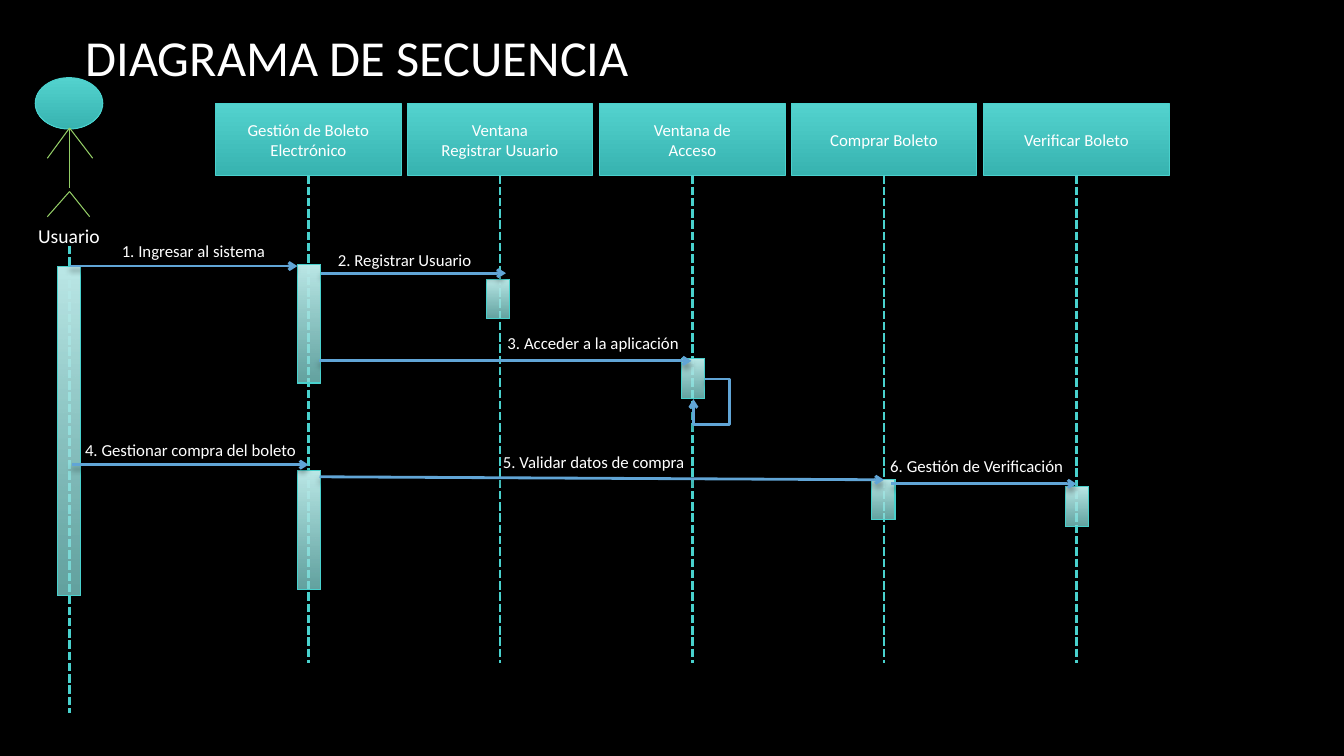
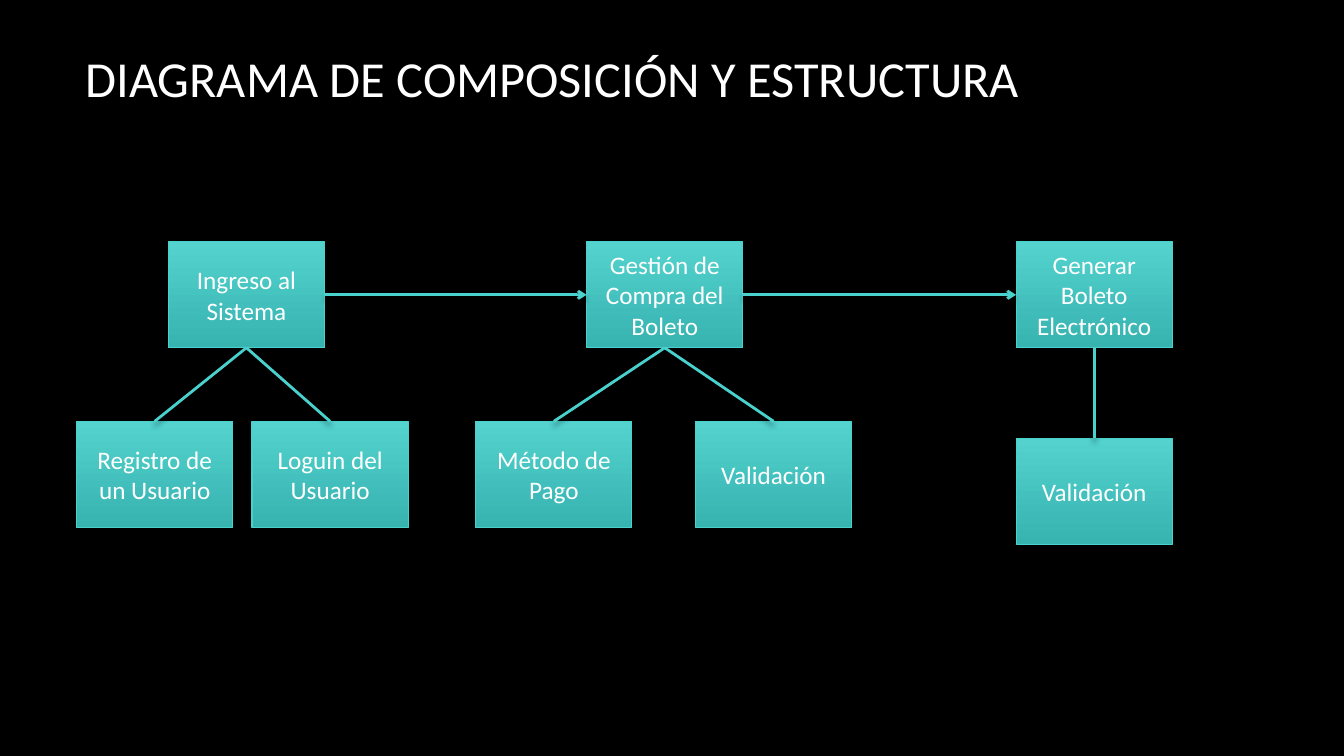
from dataclasses import dataclass
from typing import NamedTuple

from pptx import Presentation
from pptx.dml.color import RGBColor
from pptx.enum.dml import MSO_LINE
from pptx.enum.shapes import MSO_CONNECTOR as Link, MSO_SHAPE as Preset
from pptx.enum.text import MSO_ANCHOR as Anchor, PP_ALIGN as Align
from pptx.oxml import parse_xml
from pptx.oxml.ns import nsdecls, qn
from pptx.shapes.autoshape import Shape
from pptx.shapes.connector import Connector
from pptx.slide import Slide
from pptx.text.text import TextFrame
from pptx.util import Emu, Pt

SCALE = 9144  # EMU in one px, 100 px to the inch
TOP_SITE, LEFT_SITE, BOTTOM_SITE, RIGHT_SITE = range(4)


@dataclass(frozen=True)
class Theme:
    font: str = "Calibri"
    background: str = "000000"
    text: str = "FFFFFF"
    teal: str = "49D1CD"
    box_fill: tuple[str, str] = ("53D2CE", "37B3B0")
    activation_fill: tuple[str, str] = ("BCE9E8", "86DAD7")
    activation_alpha: int = 74
    message: str = "61A5D6"
    actor: str = "94CE67"
    title_size: int = 36
    box_size: int = 18
    actor_size: int = 14
    label_size: int = 12
    thin: float = 0.75
    thick: float = 2


THEME = Theme()


class Point(NamedTuple):
    x: int
    y: int


class Frame(NamedTuple):
    left: int
    top: int
    width: int
    height: int

    def emu(self) -> list[Emu]:
        return [px(length) for length in self]


class Message(NamedTuple):
    text: str
    label: Frame
    start: Point
    end: Point


class Branch(NamedTuple):
    text: str
    left: int
    child_top: int
    children: tuple[tuple[str, int], ...]


PARTICIPANTS = (
    "Gestión de Boleto Electrónico",
    "Ventana\nRegistrar Usuario",
    "Ventana de\nAcceso",
    "Comprar Boleto",
    "Verificar Boleto",
)
HEADER_SIZE = (184, 71)
HEADER_TOP, LIFELINE_END = 103, 658
ACTOR_X = 69
ACTOR_LIMBS = (
    (Point(ACTOR_X, 127), Point(ACTOR_X, 187)),
    (Point(ACTOR_X, 127), Point(47, 157)),
    (Point(ACTOR_X, 127), Point(92, 157)),
    (Point(ACTOR_X, 190), Point(47, 215)),
    (Point(ACTOR_X, 190), Point(89, 215)),
)
ACTIVATION_WIDTH = 23
SHORT, MEDIUM, LONG = 39, 118, 327
ACTIVATIONS = (  # left, top, height
    (57, 264, LONG),
    (295, 262, MEDIUM),
    (295, 467, MEDIUM),
    (483, 277, SHORT),
    (676, 356, SHORT),
    (865, 476, SHORT),
    (1057, 483, SHORT),
)
MESSAGES = (
    Message("1. Ingresar al sistema", Frame(103, 234, 178, 30), Point(69, 264), Point(295, 264)),
    Message("2. Registrar Usuario", Frame(321, 243, 161, 30), Point(318, 271), Point(502, 271)),
    Message("3. Acceder a la aplicación", Frame(479, 325, 219, 30), Point(316, 358), Point(686, 358)),
    Message("4. Gestionar compra del boleto", Frame(73, 431, 232, 30), Point(71, 461), Point(306, 461)),
    Message("5. Validar datos de compra", Frame(473, 443, 232, 30), Point(317, 473), Point(877, 476)),
    Message("6. Gestión de Verificación", Frame(853, 447, 232, 30), Point(884, 480), Point(1068, 480)),
)

BLOCK_SIZE = (155, 105)
BRANCH_TOP = 240
BRANCHES = (
    Branch("Ingreso al Sistema", 167, 418, (("Registro de un Usuario", 76), ("Loguin del Usuario", 250))),
    Branch("Gestión de Compra del Boleto", 582, 418, (("Método de Pago", 472), ("Validación", 690))),
    Branch("Generar Boleto Electrónico", 1008, 435, (("Validación", 1008),)),
)


def px(length: int) -> Emu:
    return Emu(length * SCALE)


def color(value: str) -> RGBColor:
    return RGBColor.from_string(value)


def set_shadow(item: Shape | Connector, visible: bool) -> None:
    """Give the item a soft shadow below it, or an empty effect list."""
    shadow = (
        '<a:outerShdw blurRad="50800" dist="38100" dir="5400000" rotWithShape="0">'
        '<a:srgbClr val="000000"><a:alpha val="35000"/></a:srgbClr></a:outerShdw>'
    )
    content = shadow if visible else ""
    item.element.spPr.append(parse_xml(f'<a:effectLst {nsdecls("a")}>{content}</a:effectLst>'))


def write(frame: TextFrame, text: str, size: int, align: Align, anchor: Anchor) -> None:
    frame.word_wrap = True
    frame.vertical_anchor = anchor
    for index, line in enumerate(text.split("\n")):
        para = frame.add_paragraph() if index else frame.paragraphs[0]
        para.text = line
        para.alignment = align
        para.font.name = THEME.font
        para.font.size = Pt(size)
        para.font.color.rgb = color(THEME.text)


def add_text(slide: Slide, frame: Frame, text: str, size: int,
             align: Align = Align.CENTER, anchor: Anchor = Anchor.TOP) -> None:
    write(slide.shapes.add_textbox(*frame.emu()).text_frame, text, size, align, anchor)


def add_titled_slide(deck: Presentation, title: str, frame: Frame) -> Slide:
    slide = deck.slides.add_slide(deck.slide_layouts[6])
    add_text(slide, frame, title, THEME.title_size, Align.LEFT, Anchor.MIDDLE)
    return slide


def add_gradient_shape(slide: Slide, preset: Preset, frame: Frame,
                       colors: tuple[str, str], shadow: bool) -> Shape:
    shape = slide.shapes.add_shape(preset, *frame.emu())
    shape.fill.gradient()
    shape.fill.gradient_angle = 270
    for stop, value in zip(shape.fill.gradient_stops, colors):
        stop.color.rgb = color(value)
    shape.line.color.rgb = color(THEME.teal)
    shape.line.width = Pt(THEME.thin)
    set_shadow(shape, shadow)
    return shape


def add_box(slide: Slide, frame: Frame, text: str, size: int) -> Shape:
    box = add_gradient_shape(slide, Preset.RECTANGLE, frame, THEME.box_fill, shadow=True)
    write(box.text_frame, text, size, Align.CENTER, Anchor.MIDDLE)
    return box


def add_activation(slide: Slide, frame: Frame) -> None:
    bar = add_gradient_shape(slide, Preset.RECTANGLE, frame, THEME.activation_fill, shadow=False)
    last_color = bar.element.spPr.findall(".//" + qn("a:srgbClr"))[1]
    alpha = THEME.activation_alpha * 1000
    last_color.append(parse_xml(f'<a:alpha {nsdecls("a")} val="{alpha}"/>'))


def add_line(slide: Slide, start: Point, end: Point, line_color: str, width: float = THEME.thick,
             arrow: bool = False, dashed: bool = False, shadow: bool = True,
             kind: Link = Link.STRAIGHT) -> Connector:
    ends = [px(length) for length in (*start, *end)]
    connector = slide.shapes.add_connector(kind, *ends)
    connector.line.color.rgb = color(line_color)
    connector.line.width = Pt(width)
    if dashed:
        connector.line.dash_style = MSO_LINE.SQUARE_DOT
    if arrow:
        outline = connector.line._get_or_add_ln()
        outline.append(parse_xml(f'<a:tailEnd {nsdecls("a")} type="arrow"/>'))
    set_shadow(connector, shadow)
    return connector


def add_lifeline(slide: Slide, x: int, top: int, bottom: int) -> None:
    add_line(slide, Point(x, top), Point(x, bottom), THEME.teal, dashed=True)


def add_self_message(slide: Slide, start: Point, corner: Point, end: Point) -> None:
    """Loop right to the corner's x, down to its y, then back up to the end."""
    loop = add_line(slide, start, end, THEME.message, arrow=True, kind=Link.ELBOW)
    geometry = loop.element.spPr.find(qn("a:prstGeom"))
    geometry.set("prst", "bentConnector4")
    for guide in list(geometry):
        geometry.remove(guide)
    across = round(100000 * (corner.x - start.x) / (end.x - start.x))
    down = round(100000 * (corner.y - start.y) / (end.y - start.y))
    geometry.append(parse_xml(
        f'<a:avLst {nsdecls("a")}><a:gd name="adj1" fmla="val {across}"/>'
        f'<a:gd name="adj2" fmla="val {down}"/></a:avLst>'))


def join(slide: Slide, source: Shape, source_site: int, target: Shape, target_site: int,
         arrow: bool = False) -> None:
    connector = add_line(slide, Point(0, 0), Point(0, 0), THEME.teal, arrow=arrow)
    connector.begin_connect(source, source_site)
    connector.end_connect(target, target_site)


def add_actor(slide: Slide) -> None:
    add_gradient_shape(slide, Preset.OVAL, Frame(35, 77, 67, 51), THEME.box_fill, shadow=True)
    for start, end in ACTOR_LIMBS:
        add_line(slide, start, end, THEME.actor, THEME.thin, shadow=False)
    add_text(slide, Frame(27, 217, 83, 34), "Usuario", THEME.actor_size)
    add_lifeline(slide, ACTOR_X, 244, 707)


def build_sequence_slide(deck: Presentation) -> None:
    slide = add_titled_slide(deck, "DIAGRAMA DE SECUENCIA", Frame(75, 11, 1108, 89))
    width, height = HEADER_SIZE
    for index, name in enumerate(PARTICIPANTS):
        left = 214 + index * 381 // 2
        add_box(slide, Frame(left, HEADER_TOP, width, height), name, THEME.label_size)
        add_lifeline(slide, left + width // 2, HEADER_TOP + height, LIFELINE_END)
    add_actor(slide)
    for left, top, length in ACTIVATIONS:
        add_activation(slide, Frame(left, top, ACTIVATION_WIDTH, length))
    for message in MESSAGES:
        add_line(slide, message.start, message.end, THEME.message, arrow=True)
        add_text(slide, message.label, message.text, THEME.label_size)
    add_self_message(slide, Point(699, 376), Point(724, 421), Point(688, 396))


def build_structure_slide(deck: Presentation) -> None:
    slide = add_titled_slide(deck, "DIAGRAMA DE COMPOSICIÓN Y ESTRUCTURA", Frame(75, -3, 1150, 159))
    previous = None
    for branch in BRANCHES:
        parent = add_box(slide, Frame(branch.left, BRANCH_TOP, *BLOCK_SIZE), branch.text, THEME.box_size)
        if previous is not None:
            join(slide, previous, RIGHT_SITE, parent, LEFT_SITE, arrow=True)
        for text, left in branch.children:
            child = add_box(slide, Frame(left, branch.child_top, *BLOCK_SIZE), text, THEME.box_size)
            join(slide, parent, BOTTOM_SITE, child, TOP_SITE)
        previous = parent


def main() -> None:
    deck = Presentation()
    deck.slide_width, deck.slide_height = px(4000) // 3, px(750)
    backdrop = deck.slide_master.background.fill
    backdrop.solid()
    backdrop.fore_color.rgb = color(THEME.background)
    build_sequence_slide(deck)
    build_structure_slide(deck)
    deck.save("out.pptx")


if __name__ == "__main__":
    main()
